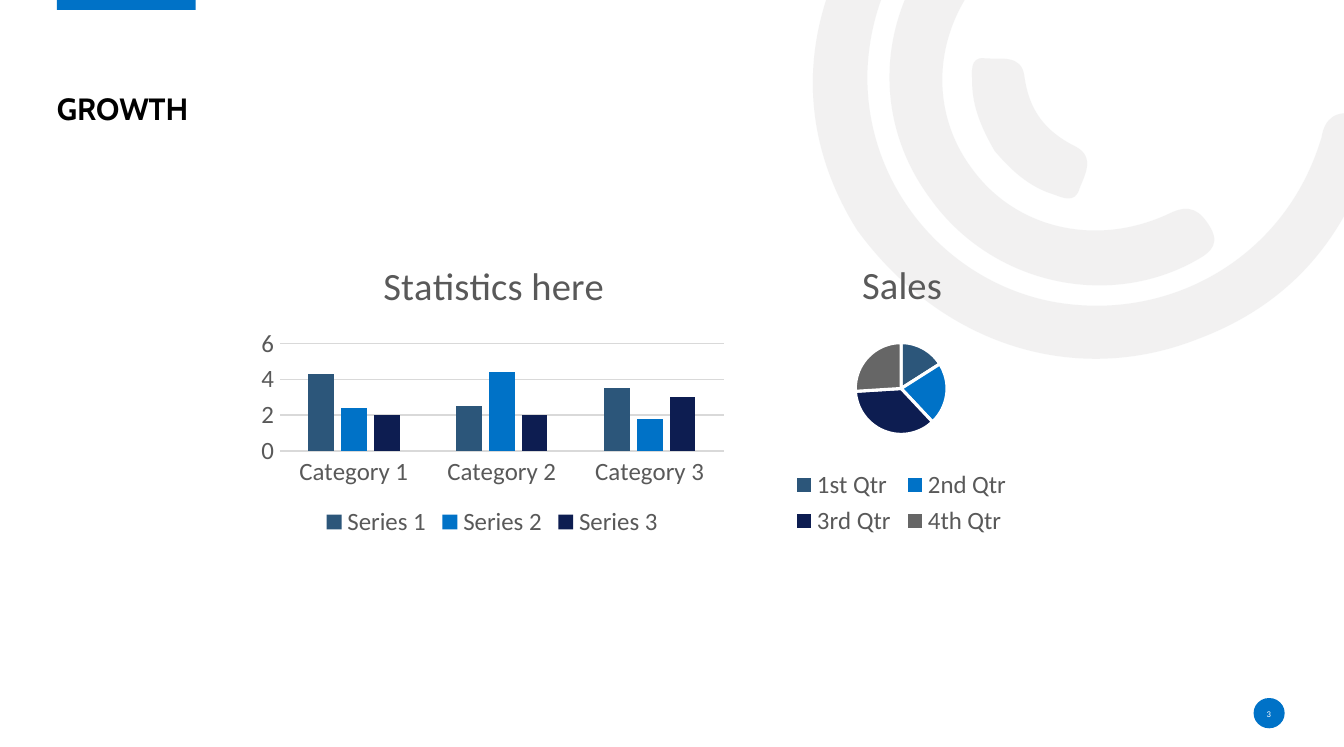
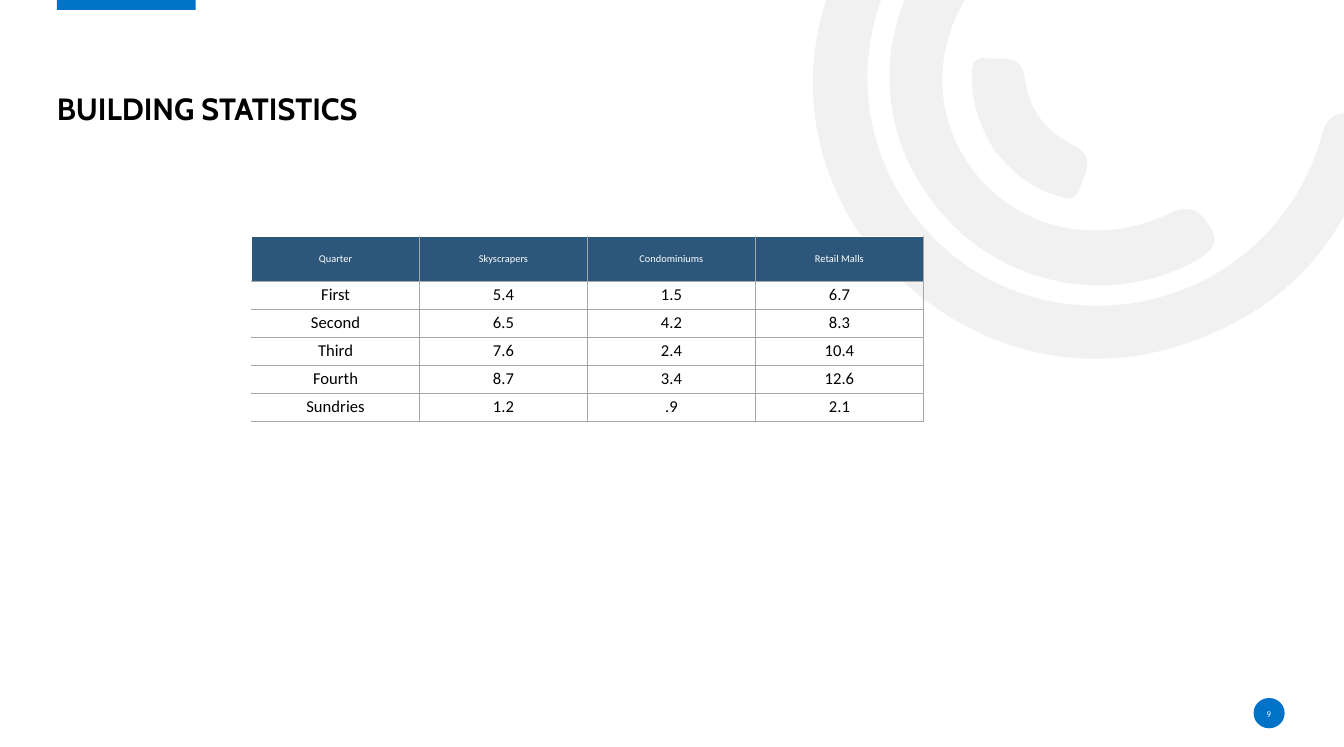
from lxml.etree import SubElement
from pptx import Presentation
from pptx.chart.data import CategoryChartData
from pptx.dml.color import RGBColor
from pptx.enum.chart import XL_CHART_TYPE, XL_LEGEND_POSITION, XL_TICK_MARK
from pptx.enum.shapes import MSO_SHAPE
from pptx.enum.text import MSO_ANCHOR, PP_ALIGN
from pptx.oxml import parse_xml
from pptx.oxml.ns import nsdecls, qn
from pptx.util import Pt

COLORS = {
    "steel": "2C567A", "blue": "0072C7", "navy": "0D1D51", "gray": "666666",
    "ring": "E7E6E6", "rule": "A6A6A6", "grid": "D9D9D9", "label": "595959",
    "black": "000000", "white": "FFFFFF",
}
SERIES_COLORS = ("steel", "blue", "navy", "gray")

FORMATS = {
    "title": {"size": 14.8, "name": "Cabin", "color": "black", "bold": True},
    "page_number": {"size": 4.2, "name": "Calibri", "color": "white"},
    "chart_title": {"size": 18.6, "name": "Calibri", "color": "label", "bold": False},
    "chart_label": {"size": 12, "name": "Calibri", "color": "label"},
    "table_head": {"size": 5, "name": "Calibri", "color": "white", "bold": False},
    "table_body": {"size": 8, "name": "Calibri", "color": "black", "bold": False},
}

# Background rings: a start point, then cubic curves of three points each
RING_UNIT = 0.72  # points per coordinate unit
RINGS = (
    ((574, 154),
     (540, 100, 532, 35, 567, -33), (602, -102, 661, -136, 737, -139),
     (747, -139, 758, -141, 764, -131), (773, -118, 762, -103, 742, -103),
     (654, -103, 585, -39, 581, 46), (578, 122, 632, 188, 705, 202),
     (782, 216, 856, 174, 882, 101), (883, 98, 884, 95, 885, 92),
     (887, 79, 895, 73, 910, 77), (926, 81, 921, 93, 918, 103),
     (899, 163, 861, 205, 802, 227), (721, 259, 631, 232, 574, 154)),
    ((623, 133),
     (582, 78, 588, 5, 635, -45), (643, -52, 650, -63, 662, -52),
     (673, -43, 674, -34, 662, -21), (625, 18, 621, 73, 651, 113),
     (680, 153, 734, 166, 783, 143), (797, 136, 804, 141, 811, 153),
     (818, 166, 807, 171, 798, 176), (739, 207, 663, 189, 623, 133)),
    ((666, 101),
     (658, 87, 651, 72, 651, 55), (651, 49, 649, 38, 659, 39),
     (670, 40, 684, 36, 686, 51), (689, 74, 700, 88, 720, 98),
     (734, 105, 726, 118, 723, 126), (720, 137, 711, 132, 705, 130),
     (689, 125, 677, 114, 666, 101)),
)


def rgb(color):
    return RGBColor.from_string(COLORS[color])


def apply_format(font, kind):
    for key, value in FORMATS[kind].items():
        if key == "color":
            font.color.rgb = rgb(value)
        else:
            setattr(font, key, Pt(value) if key == "size" else value)


def bend_lines(shape):
    """Turn each three line segments of an outline into one cubic curve."""
    lines = list(shape._element.iter(qn("a:lnTo")))
    for first in range(0, len(lines), 3):
        group = lines[first:first + 3]
        curve = parse_xml(f'<a:cubicBezTo {nsdecls("a")}/>')
        group[0].addprevious(curve)
        for line in group:
            curve.append(line[0])
            line.getparent().remove(line)


def place_layout(parent, x, y, width=None, height=None):
    """Fix a chart part at fractions of the chart area."""
    for old in parent.findall(qn("c:layout")):
        parent.remove(old)
    values = {"xMode": "edge", "yMode": "edge", "x": x, "y": y}
    if width:
        values = {"layoutTarget": "inner", **values, "w": width, "h": height}
    items = "".join(f'<c:{tag} val="{value}"/>' for tag, value in values.items())
    layout = parse_xml(f'<c:layout {nsdecls("c")}><c:manualLayout>{items}'
                       '</c:manualLayout></c:layout>')
    text = parent.find(qn("c:tx"))
    parent.insert(0 if text is None else parent.index(text) + 1, layout)


class SlideBuilder:
    def __init__(self):
        self.deck = Presentation()
        self.deck.slide_width, self.deck.slide_height = Pt(648), Pt(360)
        self.shapes = None

    def page(self, title, number):
        self.shapes = self.deck.slides.add_slide(self.deck.slide_layouts[6]).shapes
        for start, *curves in RINGS:
            self.ring(start, curves)
        self.block(MSO_SHAPE.RECTANGLE, 27.4, -0.7, 67, 5.5)
        self.block(MSO_SHAPE.OVAL, 604.4, 336.4, 15, 14.6)
        self.text(title, "title", (27.4, 13, 592.6, 48.2), MSO_ANCHOR.BOTTOM,
                  PP_ALIGN.LEFT, 0.9)
        self.text(str(number), "page_number", (604, 339, 15.6, 10),
                  MSO_ANCHOR.MIDDLE, PP_ALIGN.CENTER)

    def finish_shape(self, shape, color):
        shape.shadow.inherit = False
        shape.fill.solid()
        shape.fill.fore_color.rgb = rgb(color)
        shape.line.fill.background()

    def ring(self, start, curves):
        points = [start] + [curve[i:i + 2] for curve in curves for i in (0, 2, 4)]
        first, *others = [(Pt(RING_UNIT * x), Pt(RING_UNIT * y)) for x, y in points]
        outline = self.shapes.build_freeform(*first)
        outline.add_line_segments(others, close=True)
        shape = outline.convert_to_shape()
        bend_lines(shape)
        self.finish_shape(shape, "ring")
        # Partial opacity
        tint = shape.fill._xPr.find(qn("a:solidFill"))[0]
        SubElement(tint, qn("a:alpha")).set("val", "53000")

    def block(self, kind, *place):
        self.finish_shape(self.shapes.add_shape(kind, *map(Pt, place)), "blue")

    def text(self, words, kind, place, anchor, align, spacing=1.0):
        frame = self.shapes.add_textbox(*map(Pt, place)).text_frame
        frame.word_wrap = True
        frame.vertical_anchor = anchor
        for side in ("left", "top", "right", "bottom"):
            setattr(frame, f"margin_{side}", 0)
        para = frame.paragraphs[0]
        para.alignment, para.line_spacing = align, spacing
        span = para.add_run()
        span.text = words
        apply_format(span.font, kind)

    def chart(self, kind, place, categories, series, title, title_at, plot_at):
        data = CategoryChartData()
        data.categories = categories
        for name, values in series.items():
            data.add_series(name, values)
        chart = self.shapes.add_chart(kind, *map(Pt, place), data).chart
        apply_format(chart.font, "chart_label")
        # Title and legend
        chart.has_title = True
        span = chart.chart_title.text_frame.paragraphs[0].add_run()
        span.text = title
        apply_format(span.font, "chart_title")
        chart.chart_title.include_in_layout = False
        chart.has_legend = True
        chart.legend.position = XL_LEGEND_POSITION.BOTTOM
        chart.legend.include_in_layout = False
        apply_format(chart.legend.font, "chart_label")
        place_layout(chart.chart_title._element, *title_at)
        place_layout(chart._chartSpace.chart.plotArea, *plot_at)
        return chart

    def column_chart(self, *content):
        chart = self.chart(XL_CHART_TYPE.COLUMN_CLUSTERED, *content)
        plot = chart.plots[0]
        plot.vary_by_categories = False
        plot.gap_width, plot.overlap = 219, -27
        for series, color in zip(plot.series, SERIES_COLORS):
            series.format.fill.solid()
            series.format.fill.fore_color.rgb = rgb(color)
        # Axes
        values = chart.value_axis
        values.minimum_scale, values.maximum_scale, values.major_unit = 0, 6, 2
        for axis in (chart.category_axis, values):
            axis.major_tick_mark = axis.minor_tick_mark = XL_TICK_MARK.NONE
            apply_format(axis.tick_labels.font, "chart_label")
        values.format.line.fill.background()
        for part in (chart.category_axis, values.major_gridlines):
            part.format.line.color.rgb = rgb("grid")
            part.format.line.width = Pt(0.75)

    def pie_chart(self, *content):
        chart = self.chart(XL_CHART_TYPE.PIE, *content)
        plot = chart.plots[0]
        plot.vary_by_categories = True
        for index, color in enumerate(SERIES_COLORS):
            wedge = plot.series[0].points[index].format
            wedge.fill.solid()
            wedge.fill.fore_color.rgb = rgb(color)
            wedge.line.color.rgb = rgb("white")
            wedge.line.width = Pt(1.5)

    def border(self, cell, side, color, width):
        line = SubElement(cell._tc.get_or_add_tcPr(), qn(f"a:ln{side}"))
        line.set("w", str(Pt(width)))
        fill = SubElement(line, qn("a:solidFill"))
        SubElement(fill, qn("a:srgbClr")).set("val", COLORS[color])

    def table(self, rows, left, top, column_width, head_height, row_height):
        heights = [head_height] + [row_height] * (len(rows) - 1)
        count = len(rows[0])
        table = self.shapes.add_table(
            len(rows), count, Pt(left), Pt(top),
            Pt(column_width * count), Pt(sum(heights))).table
        table.horz_banding = False
        for column in table.columns:
            column.width = Pt(column_width)
        for row_index, (row, height) in enumerate(zip(rows, heights)):
            table.rows[row_index].height = Pt(height)
            for column_index, words in enumerate(row):
                self.fill_cell(table.cell(row_index, column_index), words,
                               row_index == 0, column_index == 0)

    def fill_cell(self, cell, words, is_head, is_first):
        margins = {"left": 3.6, "right": 3.6, "top": 1.5, "bottom": 1.5}
        for side, margin in margins.items():
            setattr(cell, f"margin_{side}", Pt(margin))
        cell.vertical_anchor = MSO_ANCHOR.MIDDLE
        para = cell.text_frame.paragraphs[0]
        para.alignment = PP_ALIGN.CENTER
        span = para.add_run()
        span.text = words
        apply_format(span.font, "table_head" if is_head else "table_body")
        # White outer edges at the left and top, thin gray rules elsewhere
        for side, is_white in (("L", is_first), ("R", False), ("T", is_head), ("B", False)):
            self.border(cell, side, *(("white", 1) if is_white else ("rule", 0.5)))
        if is_head:
            cell.fill.solid()
            cell.fill.fore_color.rgb = rgb("steel")
        else:
            cell.fill.background()


def main():
    builder = SlideBuilder()

    # Growth charts
    builder.page("GROWTH", 3)
    builder.column_chart(
        (121, 114, 232.6, 147.6),
        ("Category 1", "Category 2", "Category 3"),
        {"Series 1": (4.3, 2.5, 3.5), "Series 2": (2.4, 4.4, 1.8), "Series 3": (2, 2, 3)},
        "Statistics here", (0.26, 0.05), (0.06, 0.35, 0.92, 0.35))
    builder.pie_chart(
        (323.6, 113.5, 221.8, 147.6),
        ("1st Qtr", "2nd Qtr", "3rd Qtr", "4th Qtr"),
        {"Sales": (16, 22, 36, 26)},
        "Sales", (0.4, 0.05), (0.4, 0.35, 0.2, 0.3))

    # Building table
    builder.page("BUILDING STATISTICS", 9)
    builder.table((
        ("Quarter", "Skyscrapers", "Condominiums", "Retail Malls"),
        ("First", "5.4", "1.5", "6.7"),
        ("Second", "6.5", "4.2", "8.3"),
        ("Third", "7.6", "2.4", "10.4"),
        ("Fourth", "8.7", "3.4", "12.6"),
        ("Sundries", "1.2", ".9", "2.1"),
    ), left=121.3, top=114, column_width=81, head_height=21.5, row_height=13.5)

    builder.deck.save("out.pptx")


if __name__ == "__main__":
    main()
